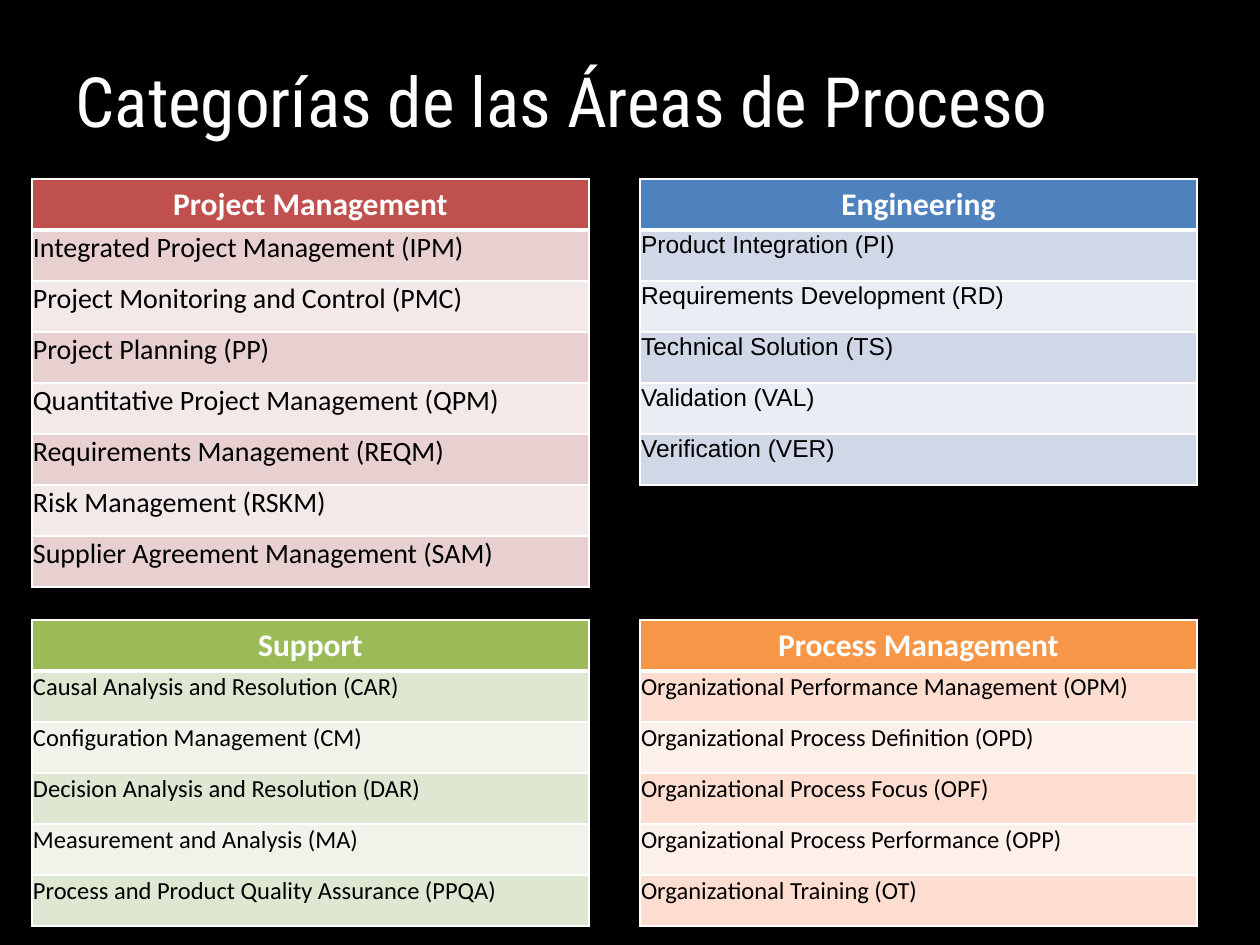
from dataclasses import dataclass

from lxml.etree import SubElement
from pptx import Presentation
from pptx.dml.color import RGBColor
from pptx.enum.text import MSO_ANCHOR, PP_ALIGN
from pptx.oxml.ns import qn
from pptx.util import Pt

EMU_PER_PX = 914400 / 126
COL_W, ROW_H = 557, 51
LEFT_X, RIGHT_X = 32, 640
TOP_Y, BOTTOM_Y = 179, 620


@dataclass
class Category:
    name: str
    x: int
    y: int
    header: str
    bands: tuple[str, str]
    areas: list[str]
    size: int = 14
    font: str = "Calibri"


CATEGORIES = [
    Category("Project Management", LEFT_X, TOP_Y, "C0504D", ("E8D0D0", "F4E9E9"), [
        "Integrated Project Management (IPM)",
        "Project Monitoring and Control (PMC)",
        "Project Planning (PP)",
        "Quantitative Project Management (QPM)",
        "Requirements Management (REQM)",
        "Risk Management (RSKM)",
        "Supplier Agreement Management (SAM)",
    ], size=16),
    Category("Process Management", RIGHT_X, BOTTOM_Y, "F79646", ("FCDDCF", "FDEFE9"), [
        "Organizational Performance Management (OPM)",
        "Organizational Process Definition (OPD)",
        "Organizational Process Focus (OPF)",
        "Organizational Process Performance (OPP)",
        "Organizational Training (OT)",
    ]),
    Category("Engineering", RIGHT_X, TOP_Y, "4F81BD", ("D0D8E8", "E9EDF4"), [
        "Product Integration (PI)",
        "Requirements Development (RD)",
        "Technical Solution (TS)",
        "Validation (VAL)",
        "Verification (VER)",
    ], font="Arial"),
    Category("Support", LEFT_X, BOTTOM_Y, "9BBB59", ("DEE7D1", "EFF3EA"), [
        "Causal Analysis and Resolution (CAR)",
        "Configuration Management (CM)",
        "Decision Analysis and Resolution (DAR)",
        "Measurement and Analysis (MA)",
        "Process and Product Quality Assurance (PPQA)",
    ]),
]


def px(n: int) -> int:
    return round(n * EMU_PER_PX)


def rgb(color: str) -> RGBColor:
    return RGBColor.from_string(color)


def set_text(tf, text: str, *, size: float, font: str, color: str,
             bold: bool = False, align=PP_ALIGN.LEFT) -> None:
    p = tf.paragraphs[0]
    p.alignment = align
    r = p.add_run()
    r.text = text
    r.font.size, r.font.name, r.font.bold = Pt(size), font, bold
    r.font.color.rgb = rgb(color)


def set_borders(cell, top: int = 1, bottom: int = 1) -> None:
    """Draw white lines around a cell; widths are in points."""
    tc_pr = cell._tc.get_or_add_tcPr()
    for side, width in (("L", 1), ("R", 1), ("T", top), ("B", bottom)):
        ln = SubElement(tc_pr, qn(f"a:ln{side}"), w=str(Pt(width)))
        fill = SubElement(ln, qn("a:solidFill"))
        SubElement(fill, qn("a:srgbClr"), val="FFFFFF")


def fill_cell(cell, color: str) -> None:
    cell.fill.solid()
    cell.fill.fore_color.rgb = rgb(color)


def add_category(slide, cat: Category) -> None:
    rows = len(cat.areas) + 1
    table = slide.shapes.add_table(rows, 1, px(cat.x), px(cat.y),
                                   px(COL_W), px(ROW_H * rows)).table
    for row in table.rows:
        row.height = px(ROW_H)

    # Header
    head = table.cell(0, 0)
    set_borders(head, bottom=3)
    fill_cell(head, cat.header)
    set_text(head.text_frame, cat.name, size=18, font="Calibri",
             color="FFFFFF", bold=True, align=PP_ALIGN.CENTER)

    # Process areas in alternating bands
    for i, area in enumerate(cat.areas):
        cell = table.cell(i + 1, 0)
        cell.margin_left = cell.margin_right = cell.margin_top = px(1)
        cell.margin_bottom = 0
        set_borders(cell, top=3 if i == 0 else 1)
        fill_cell(cell, cat.bands[i % 2])
        set_text(cell.text_frame, area, size=cat.size, font=cat.font, color="000000")


def main() -> None:
    prs = Presentation()
    prs.slide_width, prs.slide_height = px(1260), px(945)
    slide = prs.slides.add_slide(prs.slide_layouts[5])
    slide.background.fill.solid()
    slide.background.fill.fore_color.rgb = rgb("000000")

    # Title
    title = slide.shapes.title
    title.left, title.top, title.width, title.height = px(63), px(21), px(1134), px(158)
    tf = title.text_frame
    tf.vertical_anchor = MSO_ANCHOR.MIDDLE
    set_text(tf, "Categorías de las Áreas de Proceso", size=39.6,
             font="Roboto Condensed", color="FFFFFF")

    # Category tables
    for cat in CATEGORIES:
        add_category(slide, cat)

    prs.save("out.pptx")


if __name__ == "__main__":
    main()
